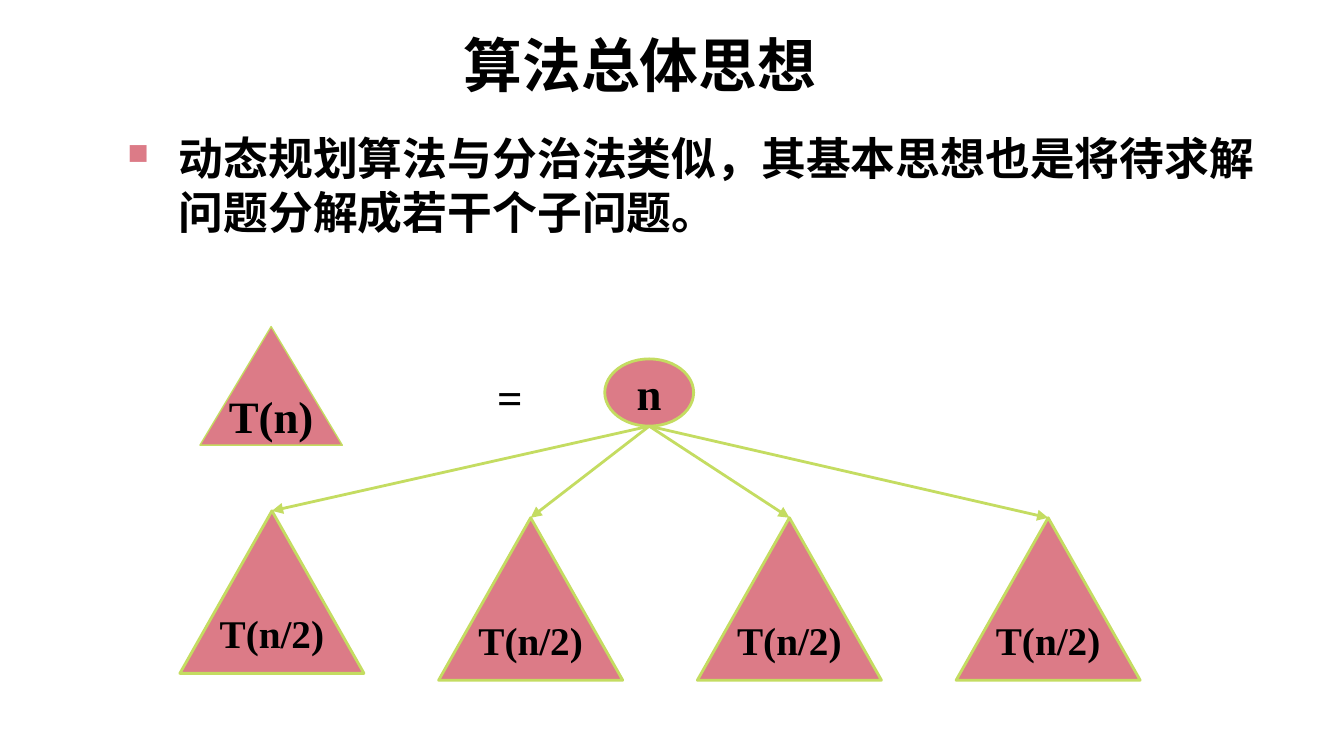
from lxml.etree import SubElement
from pptx import Presentation
from pptx.dml.color import RGBColor
from pptx.enum.shapes import MSO_CONNECTOR as Connector, MSO_SHAPE as Shape
from pptx.enum.text import MSO_ANCHOR as Anchor, MSO_AUTO_SIZE as AutoSize, PP_ALIGN as Align
from pptx.oxml.ns import qn
from pptx.util import Cm, Pt

TITLE = "算法总体思想"
BODY = "动态规划算法与分治法类似，其基本思想也是将待求解问题分解成若干个子问题。"
PROBLEM, EQUALS, ROOT = "T(n)", "=", "n"
SUBPROBLEMS = ["T(n/2)"] * 4

COLORS = {"text": "000000", "fill": "DC7B87", "line": "C4DC61"}
FONT = {"name": "Times New Roman", "bold": True}

TITLE_BOX = (3.99, 0.53, 16.21, 1.35)
BODY_BOX = (2.16, 2.34, 22.33, 1.7)
PROBLEM_BOX = (3.78, 6.17, 2.69, 2.24)
EQUALS_BOX = (8.53, 6.86, 2.21, 1.27)
ROOT_BOX = (11.43, 6.78, 1.68, 1.27)
CHILD_LEFT, CHILD_STEP = 3.4, 4.89
CHILD_TOPS = [9.65, 9.78, 9.78, 9.78]
CHILD_WIDTH, CHILD_HEIGHT = 3.48, 3.07
BULLET_INDENT = 0.97


def color(name):
    return RGBColor.from_string(COLORS[name])


def lengths(box):
    return [Cm(value) for value in box]


def write(shape, text, size, align=Align.CENTER, anchor=Anchor.MIDDLE, wrap=True):
    frame = shape.text_frame
    frame_format = {"text": text, "word_wrap": wrap, "vertical_anchor": anchor,
                    "auto_size": AutoSize.NONE}
    for key, value in frame_format.items():
        setattr(frame, key, value)
    paragraph = frame.paragraphs[0]
    paragraph.alignment = align
    font = paragraph.runs[0].font
    for key, value in {**FONT, "size": Pt(size)}.items():
        setattr(font, key, value)
    font.color.rgb = color("text")
    return paragraph


def add_node(shapes, kind, box, text, size, line_width=1.5):
    node = shapes.add_shape(kind, *lengths(box))
    node.shadow.inherit = False
    node.fill.solid()
    node.fill.fore_color.rgb = color("fill")
    node.line.color.rgb = color("line")
    node.line.width = Pt(line_width)
    write(node, text, size, wrap=False)
    return node


def add_arrow(shapes, start, child):
    arrow = shapes.add_connector(Connector.STRAIGHT, *start, *start)
    arrow.end_connect(child, 0)
    arrow.line.color.rgb = color("line")
    arrow.line.width = Pt(1.5)
    SubElement(arrow.line._get_or_add_ln(), qn("a:tailEnd"), type="triangle")
    SubElement(arrow._element.spPr, qn("a:effectLst"))


def add_bullet(paragraph):
    properties = paragraph._p.get_or_add_pPr()
    properties.set("marL", str(Cm(BULLET_INDENT)))
    properties.set("indent", str(-Cm(BULLET_INDENT)))
    bullet_color = SubElement(properties, qn("a:buClr"))
    SubElement(bullet_color, qn("a:srgbClr"), val=COLORS["fill"])
    SubElement(properties, qn("a:buSzPct"), val="65000")
    SubElement(properties, qn("a:buChar"), char="■")


def main():
    presentation = Presentation()
    presentation.slide_width, presentation.slide_height = Cm(25.4), Cm(14.28)
    slide = presentation.slides.add_slide(presentation.slide_layouts[5])
    shapes = slide.shapes

    title = shapes.title
    for key, value in zip(("left", "top", "width", "height"), lengths(TITLE_BOX)):
        setattr(title, key, value)
    write(title, TITLE, 31.5)

    body = shapes.add_textbox(*lengths(BODY_BOX))
    add_bullet(write(body, BODY, 24, Align.LEFT, Anchor.TOP))

    add_node(shapes, Shape.ISOSCELES_TRIANGLE, PROBLEM_BOX, PROBLEM, 24, 0.75)
    equals = shapes.add_textbox(*lengths(EQUALS_BOX))
    write(equals, EQUALS, 24, anchor=Anchor.TOP)
    root = add_node(shapes, Shape.OVAL, ROOT_BOX, ROOT, 24)

    root_bottom = (root.left + root.width // 2, root.top + root.height)
    for index, (text, top) in enumerate(zip(SUBPROBLEMS, CHILD_TOPS)):
        box = (CHILD_LEFT + index * CHILD_STEP, top, CHILD_WIDTH, CHILD_HEIGHT)
        child = add_node(shapes, Shape.ISOSCELES_TRIANGLE, box, text, 21)
        add_arrow(shapes, root_bottom, child)

    presentation.save("out.pptx")


if __name__ == "__main__":
    main()
